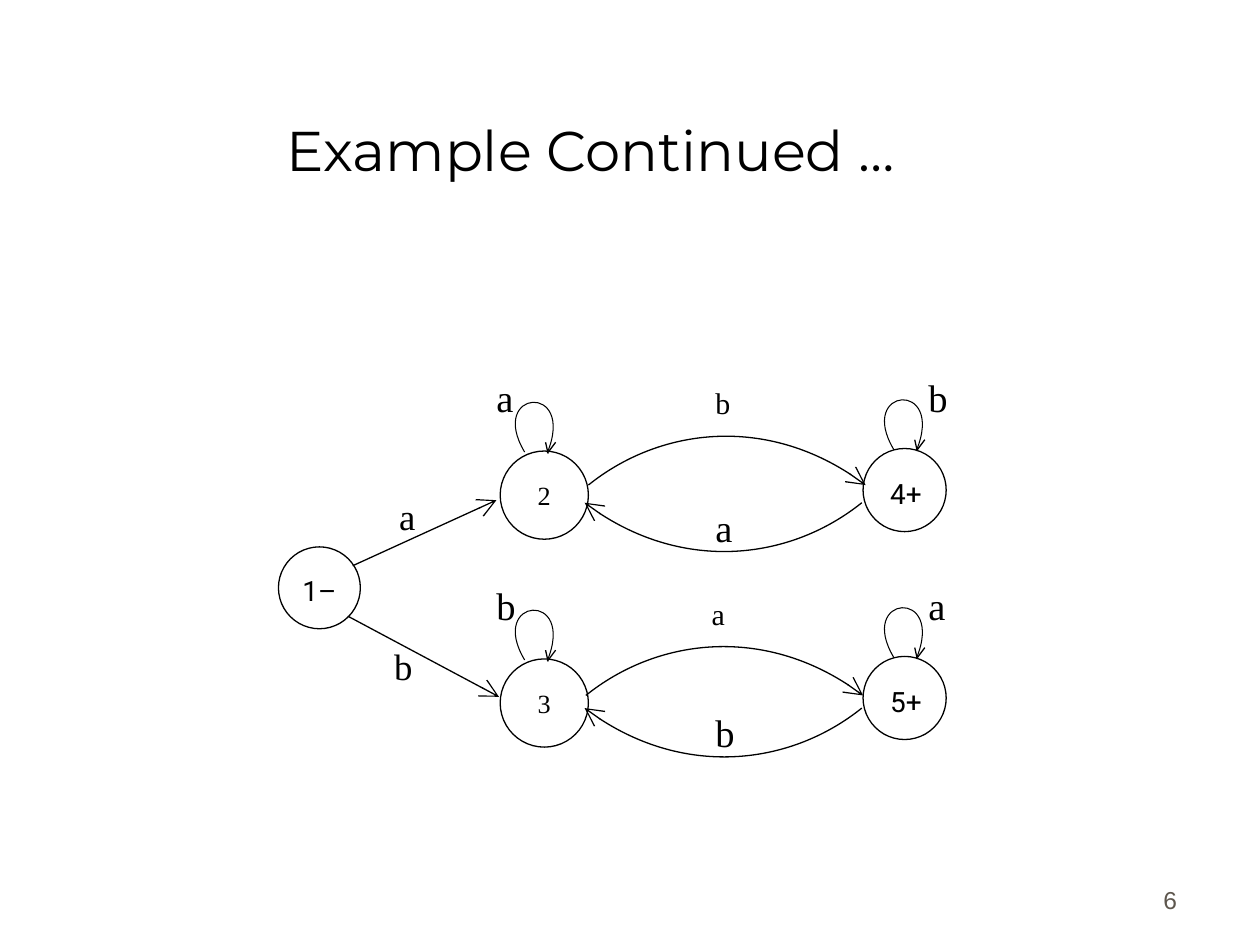
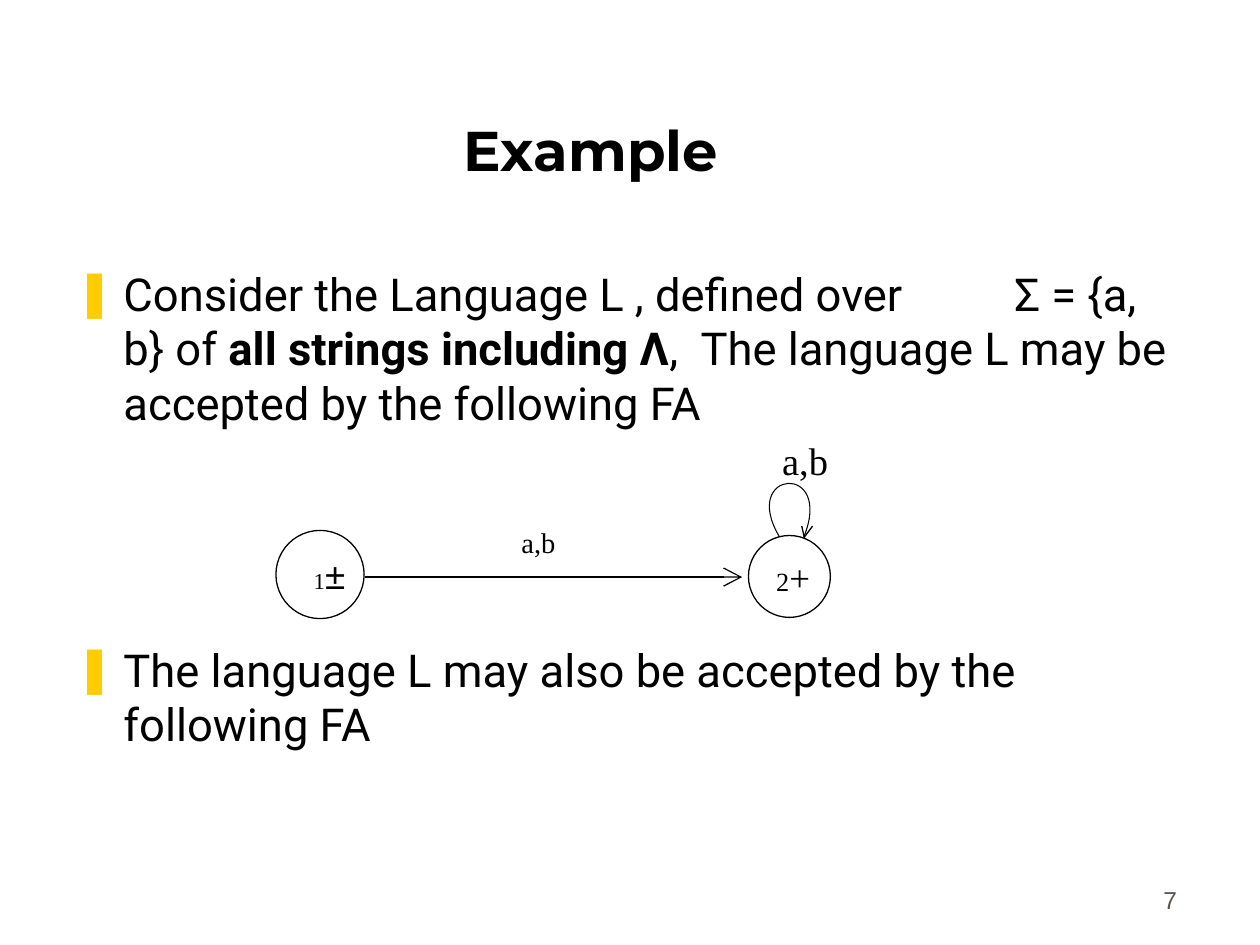
from lxml import etree
from pptx import Presentation
from pptx.dml.color import RGBColor
from pptx.enum.shapes import MSO_CONNECTOR, MSO_SHAPE
from pptx.enum.text import MSO_ANCHOR, MSO_AUTO_SIZE, PP_ALIGN
from pptx.oxml.ns import qn
from pptx.util import Cm, Pt

OVAL = MSO_SHAPE.OVAL
LINE = MSO_CONNECTOR.STRAIGHT
LEFT, MID, RIGHT = PP_ALIGN.LEFT, PP_ALIGN.CENTER, PP_ALIGN.RIGHT
TOP, CORE, LOW = MSO_ANCHOR.TOP, MSO_ANCHOR.MIDDLE, MSO_ANCHOR.BOTTOM
FIXED = MSO_AUTO_SIZE.NONE
INK, PAPER, GREY, GOLD = "000000", "FFFFFF", "5E574E", "FFCC00"
HEAD, BODY, SERIF, SANS = "Montserrat", "Roboto", "Times New Roman", "Arial"
ARC = [(0, 0), (0.56, -0.45), (1.47, -0.56), (2.2, 0)]
LOOP = [(0.34, 0.59), (0, 0.12), (0.7, 0), (0.52, 0.58)]
BARBS = [(0.5, 0.59, 0.56, 0.51), (0.48, 0.51, 0.5, 0.6)]
TILT = 5


def inch(n):
    return Cm(n * 2.54)


def tint(code):
    return RGBColor.from_string(code)


def apply(item, **fmt):
    for key, val in fmt.items():
        setattr(item, key, val)


def add(node, tag, **fmt):
    return etree.SubElement(node, qn(tag), fmt)


class Deck:
    """Holds the shared style and the slide being drawn."""

    def __init__(self):
        self.prs = Presentation()
        apply(self.prs, slide_width=inch(10), slide_height=inch(7.5))

    def page(self, num, title, layout, bold=False):
        self.slide = self.prs.slides.add_slide(self.prs.slide_layouts[layout])
        self.shapes = self.slide.shapes
        head = self.shapes.title
        self.place(head, 0.44, 0.25, 8.5, 1.25)
        self.frame(head, LOW)
        para = head.text_frame.paragraphs[0]
        apply(para, alignment=MID)
        self.run(para, title, HEAD, 32, bold=bold)
        self.note(num, 7.36, 6.81, 2.08, 0.5, 14, SANS, GREY, RIGHT, LOW)

    def place(self, item, x, y, w, h):
        apply(item, left=inch(x), top=inch(y), width=inch(w), height=inch(h))

    def frame(self, item, anchor, pad=(0.1, 0.05, 0.1, 0.05)):
        left, top, right, low = map(inch, pad)
        apply(item.text_frame, word_wrap=True, auto_size=FIXED, vertical_anchor=anchor,
              margin_left=left, margin_top=top, margin_right=right, margin_bottom=low)

    def run(self, para, text, face, size, color=INK, bold=False):
        part = para.add_run()
        part.text = text
        apply(part.font, name=face, size=Pt(size), bold=bold)
        part.font.color.rgb = tint(color)

    def note(self, text, x, y, w, h, size=22, face=SERIF, color=INK,
             align=LEFT, anchor=TOP, gap=1.0):
        box = self.shapes.add_textbox(*map(inch, (x, y, w, h)))
        self.frame(box, anchor)
        para = box.text_frame.paragraphs[0]
        apply(para, alignment=align, line_spacing=gap)
        self.run(para, text, face, size, color)

    def list(self, items, stops):
        body = self.slide.placeholders[1]
        self.place(body, 0.5, 2.06, 8.94, 4.56)
        self.frame(body, TOP)
        text = body.text_frame
        for i, (gap, parts) in enumerate(items):
            para = text.add_paragraph() if i else text.paragraphs[0]
            apply(para, space_before=Pt(gap), alignment=LEFT)
            props = para._p.get_or_add_pPr()
            props.set("marL", str(inch(0.38)))
            props.set("indent", str(-inch(0.38)))
            add(add(props, "a:buClr"), "a:srgbClr", val=GOLD)
            add(props, "a:buChar", char="❚")
            tabs = add(props, "a:tabLst")
            for stop in stops:
                add(tabs, "a:tab", pos=str(inch(stop)), algn="l")
            for words, bold in parts:
                self.run(para, words, BODY, 25.9, bold=bold)

    def pen(self, item, width=0.75, tip=False):
        item.line.color.rgb = tint(INK)
        item.line.width = Pt(width)
        if tip:
            line = item._element.spPr.find(qn("a:ln"))
            add(line, "a:tailEnd", type="arrow", w="lg", len="lg")

    def state(self, x, y, size, parts, pad=(0, 0, 0, 0)):
        ring = self.shapes.add_shape(OVAL, *map(inch, (x, y, size, size)))
        ring.shadow.inherit = False
        ring.fill.solid()
        ring.fill.fore_color.rgb = tint(PAPER)
        self.pen(ring)
        self.frame(ring, CORE, pad)
        para = ring.text_frame.paragraphs[0]
        apply(para, alignment=MID)
        for part in parts:
            self.run(para, *part)

    def curve(self, ctrl, width=0.75, tip=False):
        dots = [(inch(x), inch(y)) for x, y in ctrl]
        form = self.shapes.build_freeform(*dots[0])
        form.add_line_segments(dots[1:], close=False)
        item = form.convert_to_shape()
        legs = list(item._element.iter(qn("a:lnTo")))
        bend = add(legs[0].getparent(), "a:cubicBezTo")
        for leg in legs:
            bend.append(leg[0])
            leg.getparent().remove(leg)
        item.shadow.inherit = False
        item.fill.background()
        self.pen(item, width, tip)
        return item

    def arc(self, x, y, way=1):
        self.curve([(x + way * u, y + way * v) for u, v in ARC], tip=True)

    def loop(self, x, y, size=1.0):
        ring = self.curve([(x + size * u, y + size * v) for u, v in LOOP], 0.6)
        ring.rotation = TILT
        for a, b, c, d in BARBS:
            self.link(x + size * a, y + size * b, x + size * c, y + size * d)

    def link(self, *ends, tip=False):
        item = self.shapes.add_connector(LINE, *map(inch, ends))
        self.pen(item, tip=tip)
        add(item._element.spPr, "a:effectLst")


def states(deck):
    deck.page("6", "Example Continued …", 5)
    low = (0.02, 0.06, 0, 0)
    deck.state(2.21, 4.34, 0.65, [("1–", BODY, 16)], (0, 0.04, 0, 0))
    deck.link(2.8, 4.49, 3.94, 3.97, tip=True)
    deck.link(2.76, 4.89, 3.96, 5.53, tip=True)
    deck.note("a", 3.07, 3.87, 0.7, 0.71, 21)
    deck.note("b", 3.03, 5.06, 0.7, 0.53, 21)
    rows = [
        (0, "2", "4+", "a", "b", (4.67, 3.85), 3.99, (5.58, 3.06), 3.95),
        (1.65, "3", "5+", "b", "a", (4.65, 5.52), 5.62, (5.55, 4.73), 5.58),
    ]
    for drop, near, far, stay, move, out, back, spot, under in rows:
        deck.state(3.97, 3.58 + drop, 0.7, [(near, SERIF, 15)])
        deck.state(6.85, 3.56 + drop, 0.66, [(far, BODY, 16)], low)
        deck.loop(3.85, 3 + drop)
        deck.loop(6.78, 2.98 + drop)
        deck.arc(*out)
        deck.arc(6.84, back, -1)
        deck.note(stay, 3.84, 2.92 + drop, 0.98, 0.67)
        deck.note(move, 7.27, 2.92 + drop, 0.98, 0.67)
        deck.note(move, *spot, 0.41, 0.4, 17.1, gap=0.8)
        deck.note(stay, 5.58, under, 0.49, 0.5)


def sample(deck):
    deck.page("7", "Example", 1, bold=True)
    deck.list([
        (7, [("Consider the Language L , defined over\tΣ = {a, b} of ", False),
             ("all strings including Λ", True),
             (",\tThe language L may be accepted by the following FA", False)]),
        (121.5, [("The language L may also be accepted by the following FA", False)]),
    ], (4.96, 7.45))
    deck.state(2.19, 4.21, 0.7, [("1", SERIF, 13), ("±", SANS, 21)], (0.15, 0, 0, 0))
    deck.state(5.94, 4.25, 0.65, [("2", SERIF, 15), ("+", SERIF, 21)], (0.06, 0, 0, 0))
    deck.link(2.9, 4.58, 5.89, 4.58, tip=True)
    deck.loop(5.85, 3.63, 1.07)
    deck.note("a,b", 4.04, 4.17, 0.65, 0.37, 16.3, gap=0.8)
    deck.note("a,b", 6.11, 3.42, 0.84, 0.56)


def main():
    deck = Deck()
    states(deck)
    sample(deck)
    deck.prs.save("out.pptx")


if __name__ == "__main__":
    main()
